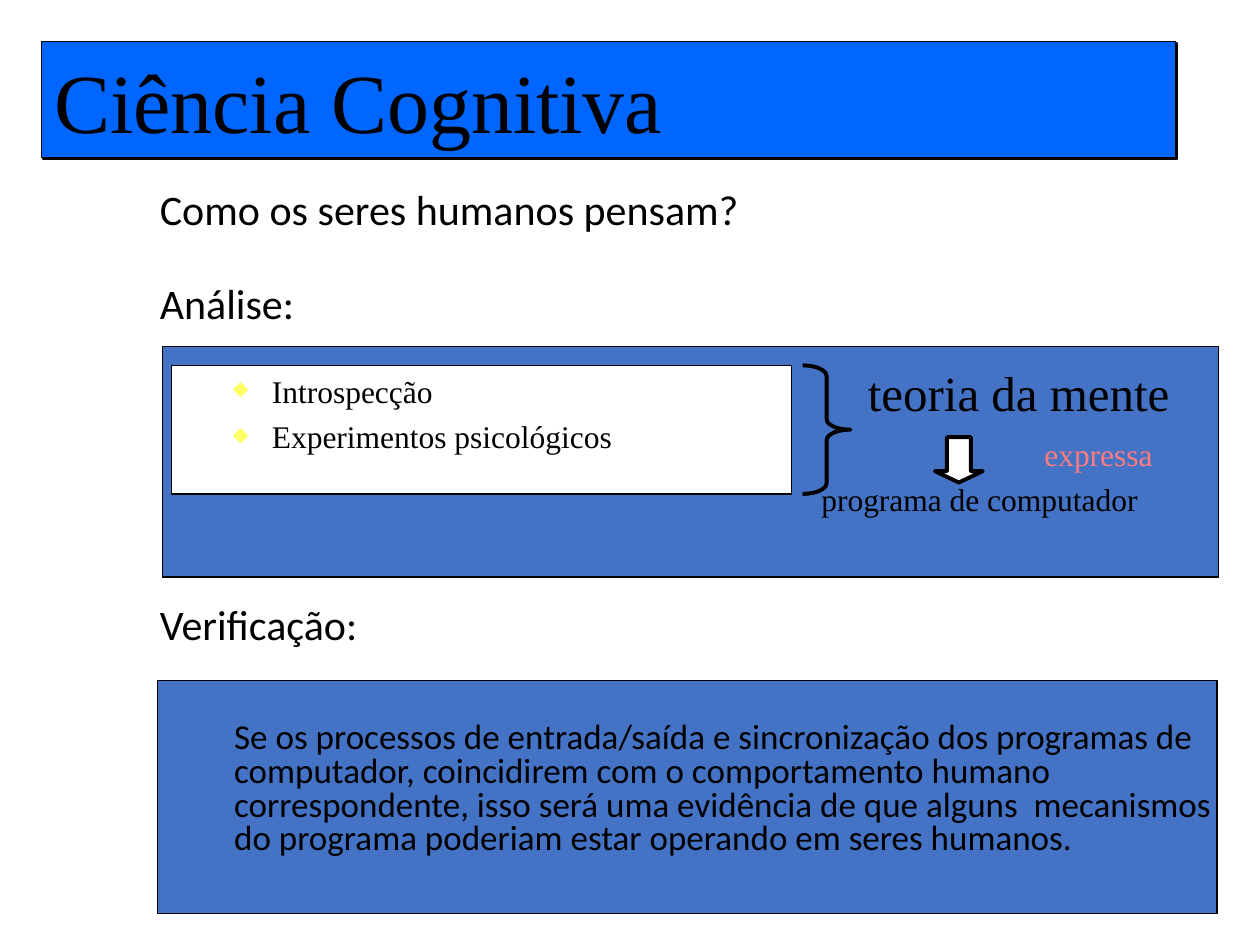
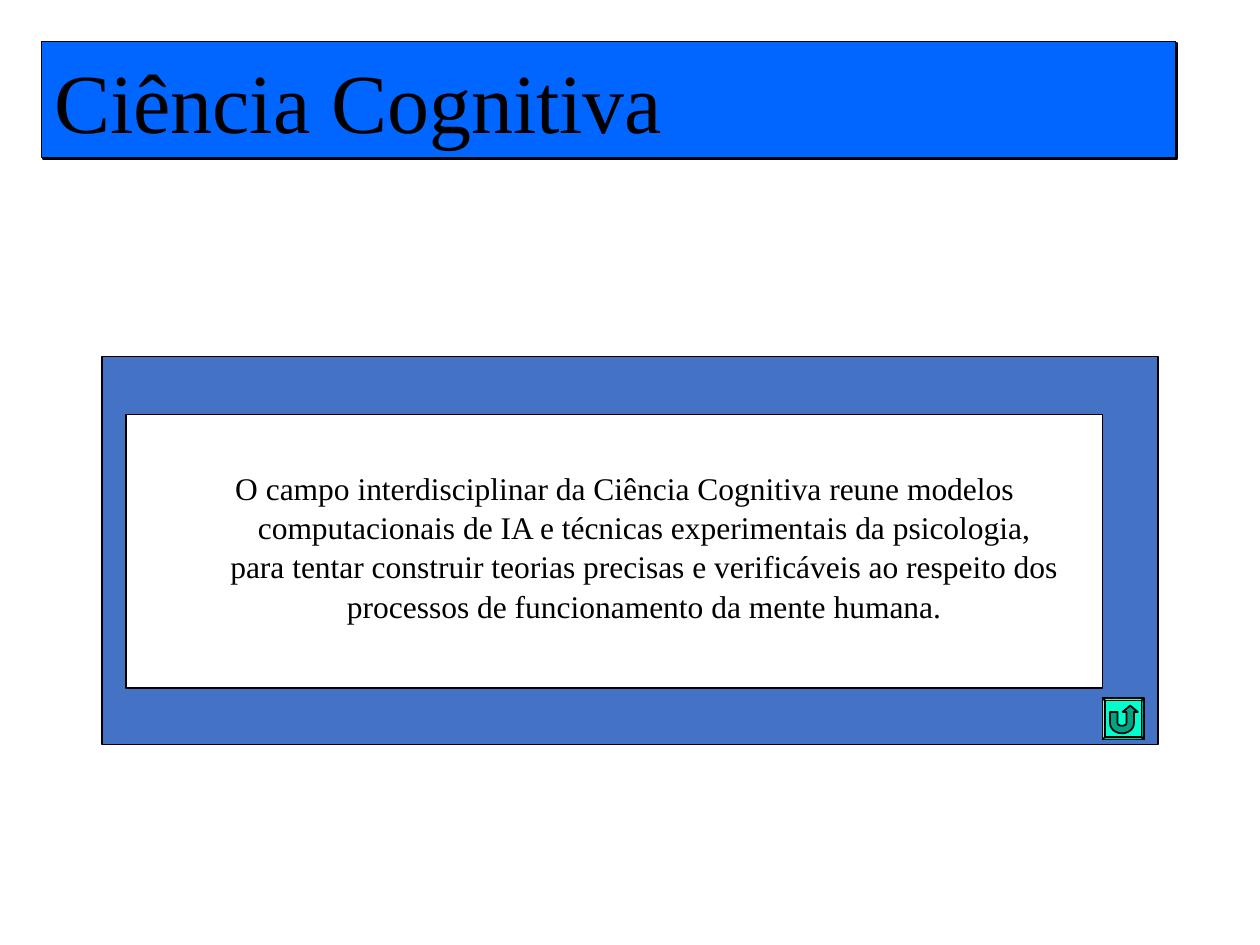
from dataclasses import dataclass
from math import cos, sin, pi

from lxml.etree import SubElement
from pptx import Presentation
from pptx.dml.color import RGBColor
from pptx.enum.shapes import MSO_SHAPE
from pptx.enum.text import MSO_ANCHOR, MSO_AUTO_SIZE, PP_ALIGN
from pptx.oxml.ns import qn
from pptx.util import Inches, Pt


@dataclass(frozen=True)
class Theme:
    black: str = "000000"
    white: str = "FFFFFF"
    band: str = "0066FF"
    panel: str = "4472C4"
    bullet: str = "FFFF66"
    accent: str = "FF7C80"
    button: str = "00FFCC"
    button_arrow: str = "00A383"
    serif: str = "Times New Roman"
    sans: str = "Calibri"
    title: int = 48
    theory: int = 28
    heading: int = 24
    body: int = 20
    text: int = 18
    thin: float = 0.75
    medium: float = 1
    thick: float = 2.25


class Deck:
    def __init__(self, prs, theme):
        self.prs, self.theme, self.s = prs, theme, None

    def slide(self, title):
        """Add a slide with the shadowed title band."""
        t = self.theme
        self.s = self.prs.slides.add_slide(self.prs.slide_layouts[5])
        sp = self.s.shapes.title
        sp.left, sp.top, sp.width, sp.height = map(Inches, (0.33, 0.33, 9, 0.92))
        self.paint(sp, t.band, t.medium)
        effects = SubElement(sp._element.spPr, qn("a:effectLst"))
        shadow = SubElement(effects, qn("a:outerShdw"), dist=str(Pt(1.4)),
                            dir="2700000", algn="ctr", rotWithShape="0")
        SubElement(shadow, qn("a:srgbClr"), val=t.black)
        tf = sp.text_frame
        tf.text = title
        tf.auto_size = MSO_AUTO_SIZE.NONE
        tf.vertical_anchor = MSO_ANCHOR.MIDDLE
        p = tf.paragraphs[0]
        p.alignment = PP_ALIGN.LEFT
        self.font(p, t.title, t.serif, t.black)

    def paint(self, sp, fill, width):
        if fill:
            sp.fill.solid()
            sp.fill.fore_color.rgb = RGBColor.from_string(fill)
        else:
            sp.fill.background()
        sp.line.color.rgb = RGBColor.from_string(self.theme.black)
        sp.line.width = Pt(width)

    def font(self, p, size, name, color):
        for r in p.runs:
            r.font.size, r.font.name = Pt(size), name
            r.font.color.rgb = RGBColor.from_string(color)

    def shape(self, kind, box, fill, width, adjust=()):
        sp = self.s.shapes.add_shape(kind, *map(Inches, box))
        sp.shadow.inherit = False
        self.paint(sp, fill, width)
        for i, value in enumerate(adjust):
            sp.adjustments[i] = value
        return sp

    def panel(self, box, fill=None):
        return self.shape(MSO_SHAPE.RECTANGLE, box,
                          fill or self.theme.panel, self.theme.thin)

    def outline(self, points, fill, width):
        points = [(Inches(x), Inches(y)) for x, y in points]
        builder = self.s.shapes.build_freeform(*points[0], scale=1.0)
        builder.add_line_segments(points[1:], close=True)
        sp = builder.convert_to_shape()
        sp.shadow.inherit = False
        self.paint(sp, fill, width)

    def text(self, box, lines, size=None, name=None, color=None, align=None,
             spacing=None, before=0, hanging=False, bullet=False, wrap=True):
        t = self.theme
        tf = self.s.shapes.add_textbox(*map(Inches, box)).text_frame
        tf.word_wrap = wrap
        tf.text = "\n".join(lines)
        for p in tf.paragraphs:
            p.alignment, p.line_spacing = align, spacing
            p.space_before = Pt(before)
            self.font(p, size or t.text, name or t.serif, color or t.black)
            pPr = p._p.get_or_add_pPr()
            if hanging:
                pPr.set("marL", str(Inches(0.81)))
                pPr.set("indent", str(Inches(-0.31)))
            if bullet:
                color_el = SubElement(pPr, qn("a:buClr"))
                SubElement(color_el, qn("a:srgbClr"), val=t.bullet)
                SubElement(pPr, qn("a:buSzPct"), val="65000")
                SubElement(pPr, qn("a:buChar"), char="◆")

    def return_button(self, x, y, size):
        """Bevelled button with a U-turn arrow."""
        t = self.theme
        self.shape(MSO_SHAPE.BEVEL, (x, y, size, size), t.button, t.medium, [0.06])
        cx, cy, steps = x + 0.155, y + 0.2, 12
        angles = [pi * i / steps for i in range(steps + 1)]
        outer = [(cx + 0.095 * cos(a), cy + 0.08 * sin(a)) for a in angles]
        inner = [(cx + 0.035 * cos(a), cy + 0.02 * sin(a)) for a in reversed(angles)]
        top = y + 0.11
        head = [(cx + 0.035, top), (cx + 0.005, top), (cx + 0.065, y + 0.06),
                (cx + 0.125, top), (cx + 0.095, top)]
        tail = [(cx - 0.095, top), (cx - 0.035, top)]
        self.outline(outer + tail + inner + head, t.button_arrow, t.medium)


def analysis_slide(deck, title):
    t = deck.theme
    deck.slide(title)

    # Section headings
    for top, heading in ((1.41, "Como os seres humanos pensam?"),
                         (2.15, "Análise:"), (4.7, "Verificação:")):
        deck.text((1.17, top, 8.58, 0.5), [heading], t.heading, t.sans)

    # Analysis: methods lead to a theory, expressed as a program
    deck.panel((1.29, 2.75, 8.38, 1.83))
    deck.panel((1.36, 2.9, 4.92, 1.02), t.white)
    deck.text((1.25, 2.9, 5.07, 0.85), ["Introspecção", "Experimentos psicológicos"],
              before=4.5, hanging=True, bullet=True)
    deck.shape(MSO_SHAPE.RIGHT_BRACE, (6.37, 2.9, 0.38, 1.02), None, t.thick,
               [0.22, 0.5])
    deck.text((6.79, 2.83, 2.8, 0.58), ["teoria da mente"], t.theory)
    deck.shape(MSO_SHAPE.DOWN_ARROW, (7.42, 3.47, 0.38, 0.36), t.white, t.thick,
               [0.5, 0.25])
    deck.text((8.19, 3.4, 1.06, 0.4), ["expressa"], color=t.accent, wrap=False)
    deck.text((6.42, 3.76, 2.91, 0.63), ["programa de computador"])

    # Verification
    deck.panel((1.25, 5.4, 8.41, 1.85))
    deck.text((1.76, 5.69, 7.99, 1.4),
              ["Se os processos de entrada/saída e sincronização dos programas de "
               "computador, coincidirem com o comportamento humano correspondente, "
               "isso será uma evidência de que alguns  mecanismos do programa "
               "poderiam estar operando em seres humanos."],
              t.body, t.sans, spacing=0.8)


def summary_slide(deck, title):
    deck.slide(title)

    # Framed statement
    deck.panel((0.81, 2.83, 8.38, 3.08))
    deck.panel((1, 3.29, 7.75, 2.17), deck.theme.white)
    deck.text((0.91, 3.66, 7.6, 1.5),
              ["O campo interdisciplinar da Ciência Cognitiva reune modelos "
               "computacionais de IA e técnicas experimentais da psicologia, para "
               "tentar construir teorias precisas e verificáveis ao respeito dos "
               "processos de funcionamento da mente humana."],
              align=PP_ALIGN.CENTER, spacing=1.04, hanging=True)

    # Navigation button
    deck.return_button(8.75, 5.54, 0.33)


def main():
    prs = Presentation()
    prs.slide_width, prs.slide_height = Inches(10), Inches(7.5)
    deck = Deck(prs, Theme())
    title = "Ciência Cognitiva"
    analysis_slide(deck, title)
    summary_slide(deck, title)
    prs.save("out.pptx")


if __name__ == "__main__":
    main()
